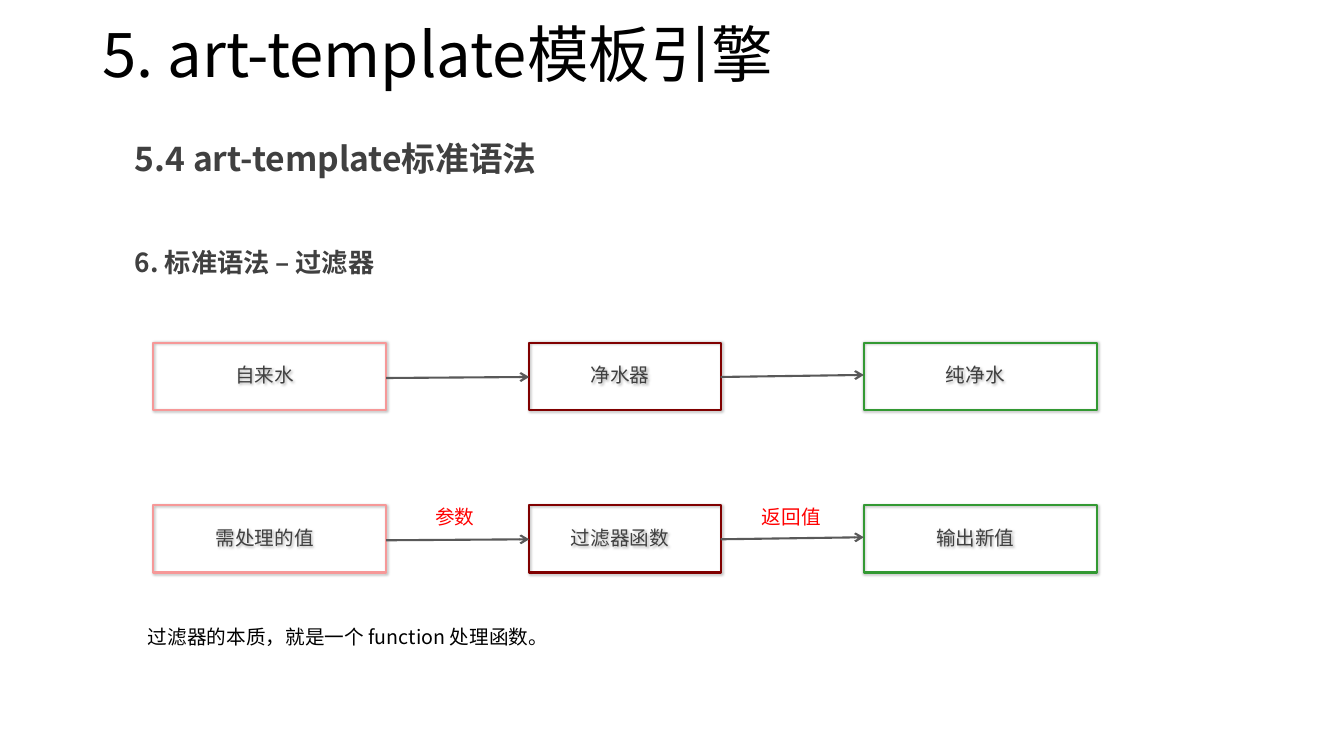
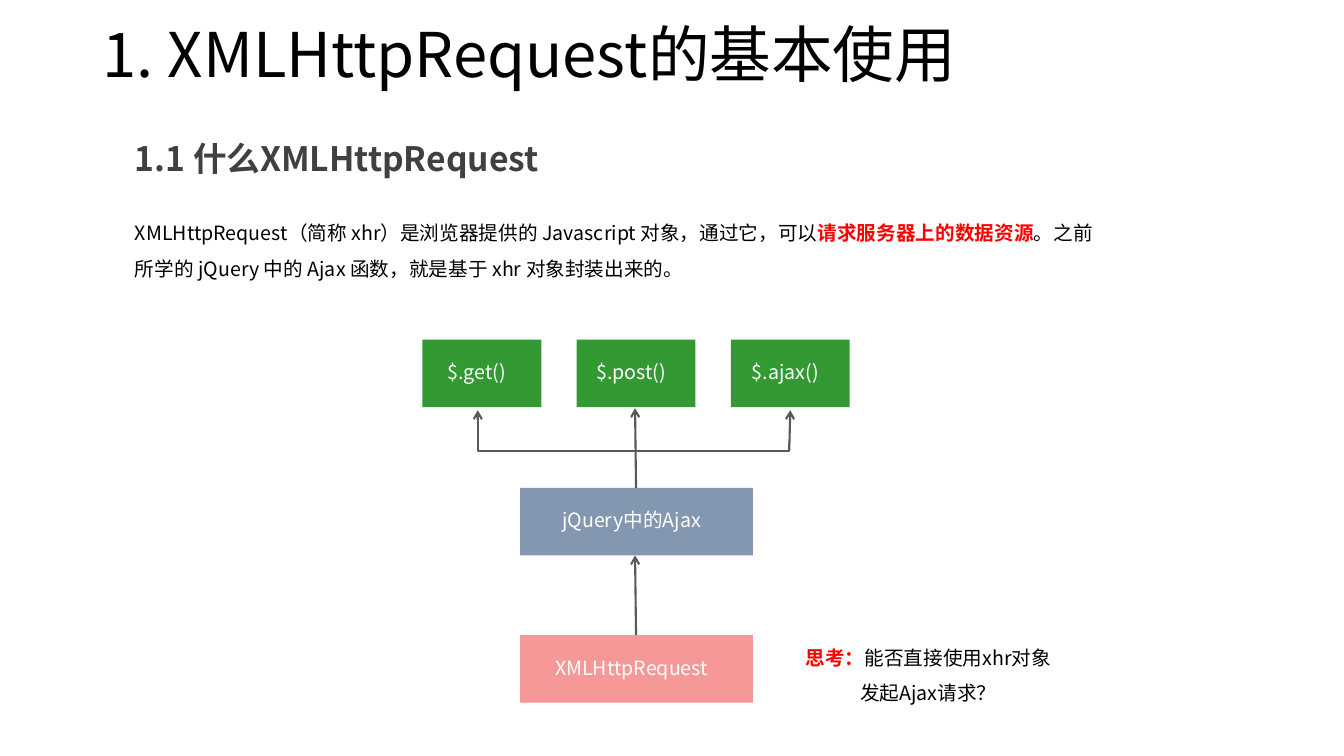
import pptx
import pptx.dml.color
import pptx.enum.shapes
import pptx.enum.text
import pptx.oxml
import pptx.oxml.ns
import pptx.util

RGBColor = pptx.dml.color.RGBColor
BLACK = RGBColor(0x00, 0x00, 0x00)
WHITE = RGBColor(0xFF, 0xFF, 0xFF)
DARK = RGBColor(0x40, 0x40, 0x40)
GREY = RGBColor(0x59, 0x59, 0x59)
RED = RGBColor(0xFF, 0x00, 0x00)
PINK = RGBColor(0xF6, 0x98, 0x98)
MAROON = RGBColor(0x80, 0x00, 0x00)
GREEN = RGBColor(0x33, 0x99, 0x33)
BLUE = RGBColor(0x84, 0x97, 0xB0)

FONT = "Noto Sans CJK SC"
CELL = pptx.util.Inches(0.1)  # one column or row of the grid
COLUMNS, ROWS = 133.33, 75
BOX_HEIGHT = 6.7
LINE_WIDTH = pptx.util.Pt(1.5)
MIDDLE = pptx.enum.text.MSO_ANCHOR.MIDDLE
CENTER = pptx.enum.text.PP_ALIGN.CENTER
RECTANGLE = pptx.enum.shapes.MSO_SHAPE.RECTANGLE
STRAIGHT = pptx.enum.shapes.MSO_CONNECTOR.STRAIGHT

# Text styles: font size, colour, paragraph format
GAP = pptx.util.Pt(10)
STYLES = {
    "title": (44, BLACK, {"line_spacing": 0.9}),
    "section": (24, DARK, {"line_spacing": 0.9, "space_before": GAP}),
    "topic": (18.7, DARK, {"line_spacing": 0.9, "space_before": GAP}),
    "body": (14, BLACK, {"line_spacing": 1.5, "space_before": GAP}),
    "question": (14, BLACK, {"line_spacing": 1.5, "alignment": CENTER}),
    "label": (14, RED, {}),
    "outlined": (14, DARK, {"alignment": CENTER}),
    "filled": (14, WHITE, {"alignment": CENTER}),
}
BOLD_STYLES = ("section", "topic")
# Box labels sit slightly up and left of the centre
BOX_FRAME = {
    "word_wrap": False,
    "vertical_anchor": MIDDLE,
    "margin_left": 0,
    "margin_right": CELL,
    "margin_top": 0,
    "margin_bottom": pptx.util.Inches(0.03),
}
SHADOW = (
    '<a:effectLst %s><a:outerShdw blurRad="25400" dist="12700" dir="2700000">'
    '<a:srgbClr val="000000"><a:alpha val="30000"/></a:srgbClr>'
    "</a:outerShdw></a:effectLst>" % pptx.oxml.ns.nsdecls("a")
)


def grid(*lengths):
    return [round(length * CELL) for length in lengths]


def add_xml(parent, xml):
    parent.append(pptx.oxml.parse_xml(xml))


def apply_format(target, values):
    for name, value in values.items():
        setattr(target, name, value)


class Deck:
    """Holds the shared style and the slide being built."""

    def __init__(self):
        self.deck = pptx.Presentation()
        width, height = grid(COLUMNS, ROWS)
        apply_format(self.deck, {"slide_width": width, "slide_height": height})
        self.shapes = None

    def new_slide(self, title, section):
        self.shapes = self.deck.slides.add_slide(self.deck.slide_layouts[6]).shapes
        self.text((9.2, 0, 98.2, 11.5), "title", title, vertical_anchor=MIDDLE)
        self.text((12.4, 13.6, 95, 7.9), "section", section)

    def fill_text(self, frame, style, paragraphs):
        """Each paragraph is a string or a list of runs; a tuple run is emphasised."""
        size, colour, layout = STYLES[style]
        for index, content in enumerate(paragraphs):
            paragraph = frame.add_paragraph() if index else frame.paragraphs[0]
            apply_format(paragraph, layout)
            for part in [content] if isinstance(content, str) else content:
                strong = isinstance(part, tuple)
                run = paragraph.add_run()
                run.text = part[0] if strong else part
                apply_format(run.font, {
                    "size": pptx.util.Pt(size),
                    "bold": strong or style in BOLD_STYLES,
                    "name": FONT,
                })
                run.font.color.rgb = RED if strong else colour
                add_xml(run.font._element, '<a:ea %s typeface="%s"/>'
                        % (pptx.oxml.ns.nsdecls("a"), FONT))

    def text(self, area, style, *paragraphs, **frame_format):
        frame = self.shapes.add_textbox(*grid(*area)).text_frame
        apply_format(frame, {"word_wrap": True, **frame_format})
        self.fill_text(frame, style, paragraphs)

    def box(self, left, top, width, label, colour, filled=False):
        box = self.shapes.add_shape(RECTANGLE, *grid(left, top, width, BOX_HEIGHT))
        box.shadow.inherit = False
        if filled:
            box.fill.solid()
            box.fill.fore_color.rgb = colour
            box.line.fill.background()
        else:
            box.fill.background()
            self.stroke(box.line, colour)
            properties = box._element.spPr
            properties.remove(properties.find(pptx.oxml.ns.qn("a:effectLst")))
            add_xml(properties, SHADOW)
        apply_format(box.text_frame, BOX_FRAME)
        self.fill_text(box.text_frame, "filled" if filled else "outlined", [label])

    def stroke(self, line, colour=GREY):
        line.color.rgb = colour
        line.width = LINE_WIDTH

    def arrow(self, *ends):
        arrow = self.shapes.add_connector(STRAIGHT, *grid(*ends))
        self.stroke(arrow.line)
        namespace = pptx.oxml.ns.nsdecls("a")
        add_xml(arrow.line._get_or_add_ln(), '<a:tailEnd %s type="arrow"/>' % namespace)
        add_xml(arrow._element.spPr, "<a:effectLst %s/>" % namespace)

    def outline(self, *points):
        start, *rest = [grid(*point) for point in points]
        builder = self.shapes.build_freeform(*start)
        builder.add_line_segments(rest, close=False)
        bracket = builder.convert_to_shape()
        bracket.shadow.inherit = False
        bracket.fill.background()
        self.stroke(bracket.line)


def filter_slide(deck):
    deck.new_slide("5. art-template模板引擎", "5.4 art-template标准语法")
    deck.text((12.4, 24.3, 94.6, 3.8), "topic", "6. 标准语法 – 过滤器")

    # Two parallel flows: water purifier and filter function
    stages = [(15.2, 23.1, PINK), (52.5, 19, MAROON), (85.7, 23.1, GREEN)]
    flows = [
        (34, ["自来水", "净水器", "纯净水"]),
        (50.1, ["需处理的值", "过滤器函数", "输出新值"]),
    ]
    arrow_drops = [(3.5, 3.4), (3.4, 3.2)]
    for top, names in flows:
        for (left, width, colour), name in zip(stages, names):
            deck.box(left, top, width, name, colour)
        for source, target, (start, end) in zip(stages, stages[1:], arrow_drops):
            deck.arrow(source[0] + source[1], top + start, target[0], top + end)

    # Arrow labels and conclusion
    for left, width, label in [(42.2, 7.1, "参数"), (74.6, 8.7, "返回值")]:
        deck.text((left, 49.6, width, 3.4), "label", label)
    deck.text((13.7, 60.3, 95, 9.9), "body",
              "过滤器的本质，就是一个 function 处理函数。")


def request_slide(deck):
    deck.new_slide("1. XMLHttpRequest的基本使用", "1.1 什么XMLHttpRequest")
    deck.text((12.4, 20.3, 98.2, 36.1), "body", [
        "XMLHttpRequest（简称 xhr）是浏览器提供的 Javascript 对象，通过它，可以",
        ("请求服务器上的数据资源",),
        "。之前所学的 jQuery 中的 Ajax 函数，就是基于 xhr 对象封装出来的。",
    ])

    # Layers, from the base object up to the shortcut functions
    layers = [(63, "XMLHttpRequest", PINK), (48.4, "jQuery中的Ajax", BLUE)]
    for top, name, colour in layers:
        deck.box(51.6, top, 23.1, name, colour, filled=True)
        deck.arrow(63.1, top, 63, top - 7.9)
    for index, name in enumerate(["$.get()", "$.post()", "$.ajax()"]):
        deck.box(41.9 + 15.3 * index, 33.7, 11.8, name, GREEN, filled=True)

    # Branches to the outer functions
    left, right, bar, tip = 47.4, 78.3, 44.7, 40.7
    deck.outline((right, 43.9), (right, bar), (left, bar), (left, 43.9))
    deck.arrow(left, bar, left, tip)
    deck.arrow(right, bar, right + 0.1, tip)

    # Question
    deck.text((78.4, 62.4, 27.4, 7.7), "question",
              [("思考：",), "能否直接使用xhr对象"], "发起Ajax请求？")


def main():
    deck = Deck()
    filter_slide(deck)
    request_slide(deck)
    deck.deck.save("out.pptx")


if __name__ == "__main__":
    main()
